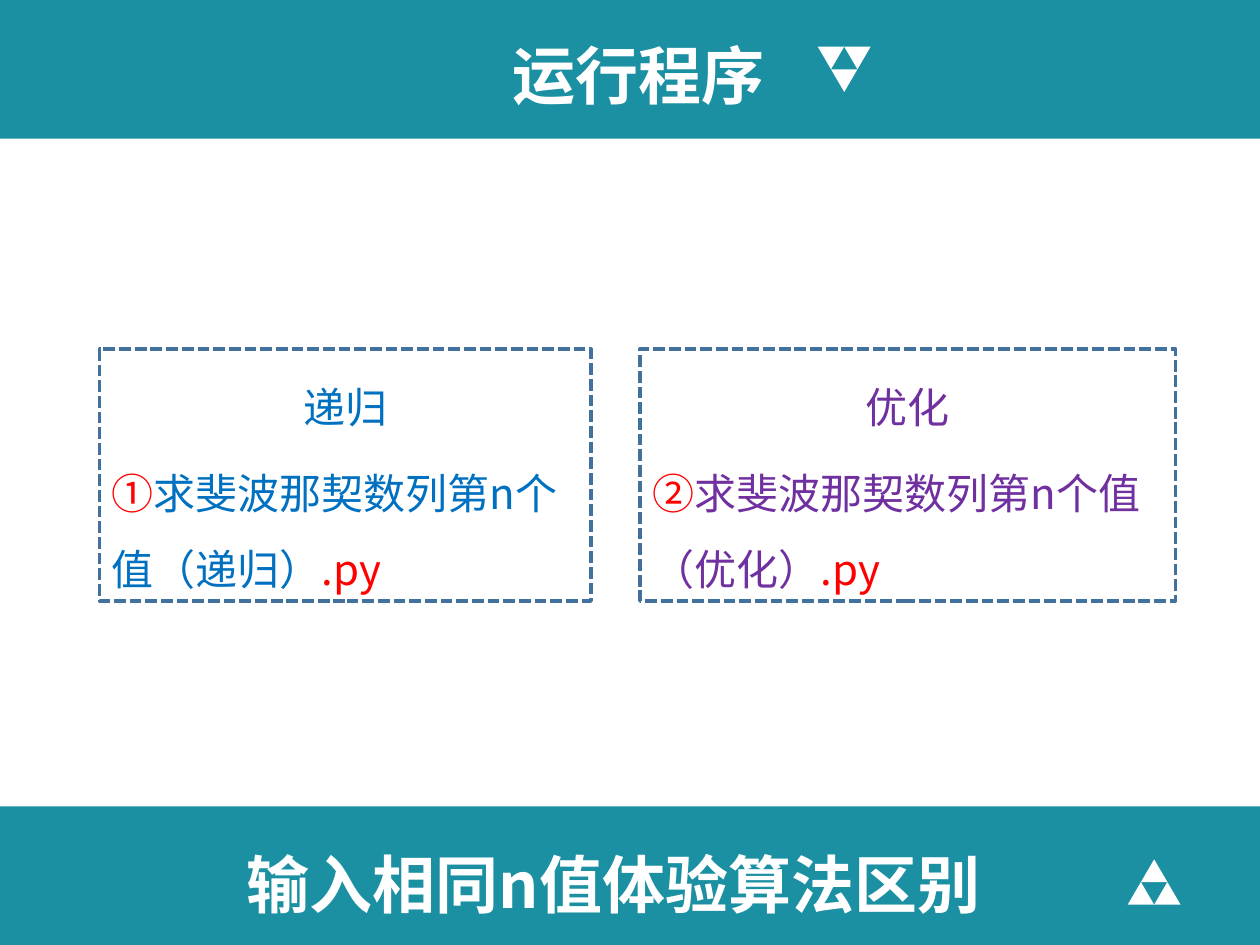
from pptx import Presentation
from pptx.dml.color import RGBColor
from pptx.enum import dml, shapes, text
from pptx.oxml.ns import qn
from pptx.util import Inches, Pt
from lxml import etree

FONT = "Noto Sans CJK SC"
TEAL, WHITE, RED, BLUE, PURPLE = "1B90A2", "FFFFFF", "FF0000", "0070C0", "7030A0"


def rgb(value):
    return RGBColor.from_string(value)


def add_block(s, kind, box, fill):
    sp = s.shapes.add_shape(kind, *map(Inches, box))
    sp.shadow.inherit = False
    sp.fill.solid()
    sp.fill.fore_color.rgb = rgb(fill)
    sp.line.fill.background()
    return sp


def add_run(p, words, size, color, bold=False):
    r = p.add_run()
    r.text = words
    r.font.size = Pt(size)
    r.font.bold = bold
    r.font.color.rgb = rgb(color)
    r.font.name = FONT
    etree.SubElement(r.font._element, qn("a:ea")).set("typeface", FONT)


def add_triangles(s, left, top, down):
    """Three small triangles stacked into one larger triangle."""
    w, h = 0.21, 0.18
    pair_y, single_y = (top, top + h) if down else (top + h, top)
    for x, y in ((left, pair_y), (left + w, pair_y), (left + w / 2, single_y)):
        sp = add_block(s, shapes.MSO_SHAPE.ISOSCELES_TRIANGLE, (x, y, w, h), WHITE)
        sp.rotation = 180 if down else 0


def add_band(s, box, title, title_box):
    """Full-width band with a centred heading."""
    add_block(s, shapes.MSO_SHAPE.RECTANGLE, box, TEAL)
    tf = s.shapes.add_textbox(*map(Inches, title_box)).text_frame
    tf.word_wrap = True
    tf.auto_size = text.MSO_AUTO_SIZE.SHAPE_TO_FIT_TEXT
    p = tf.paragraphs[0]
    p.alignment = text.PP_ALIGN.CENTER
    add_run(p, title, 36, WHITE, bold=True)


def add_card(s, box, number, method, color):
    """Dashed card naming a method and its program file."""
    sp = add_block(s, shapes.MSO_SHAPE.RECTANGLE, box, WHITE)
    sp.line.color.rgb = rgb("41719C")
    sp.line.width = Pt(2.25)
    sp.line.dash_style = dml.MSO_LINE.SQUARE_DOT
    tf = sp.text_frame
    tf.word_wrap = True
    tf.auto_size = text.MSO_AUTO_SIZE.SHAPE_TO_FIT_TEXT
    tf.vertical_anchor = text.MSO_ANCHOR.MIDDLE

    p = tf.paragraphs[0]
    p.alignment = text.PP_ALIGN.CENTER
    p.line_spacing = 1.5
    add_run(p, method, 24, color)

    p = tf.add_paragraph()
    p.alignment = text.PP_ALIGN.LEFT
    p.line_spacing = 1.5
    p.space_before = Pt(6)
    add_run(p, number, 24, RED)
    add_run(p, f"求斐波那契数列第n个值（{method}）", 24, color)
    add_run(p, ".py", 24, RED)


def main():
    prs = Presentation()
    prs.slide_width, prs.slide_height = Inches(10), Inches(7.5)
    s = prs.slides.add_slide(prs.slide_layouts[6])

    # Header
    add_band(s, (0, 0, 10, 1.1), "运行程序", (2.87, 0.24, 4.4, 0.7))
    add_triangles(s, 6.49, 0.37, down=True)

    # Two programs to compare
    add_card(s, (0.79, 2.77, 3.9, 2), "①", "递归", BLUE)
    add_card(s, (5.08, 2.77, 4.25, 2), "②", "优化", PURPLE)

    # Footer
    add_band(s, (0, 6.4, 10, 1.1), "输入相同n值体验算法区别", (0.78, 6.66, 8.18, 0.7))
    add_triangles(s, 8.95, 6.82, down=False)

    prs.save("out.pptx")


if __name__ == "__main__":
    main()
